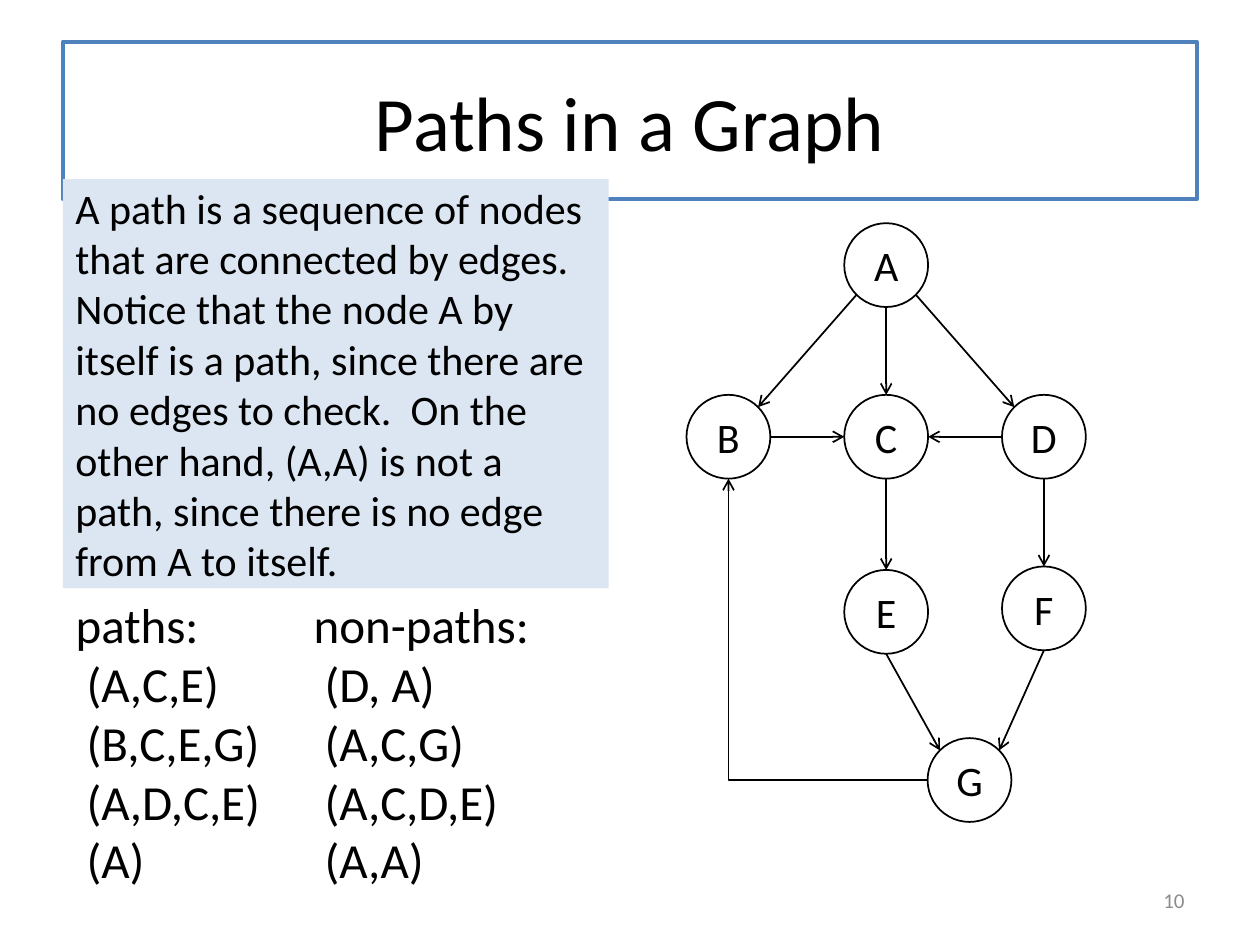
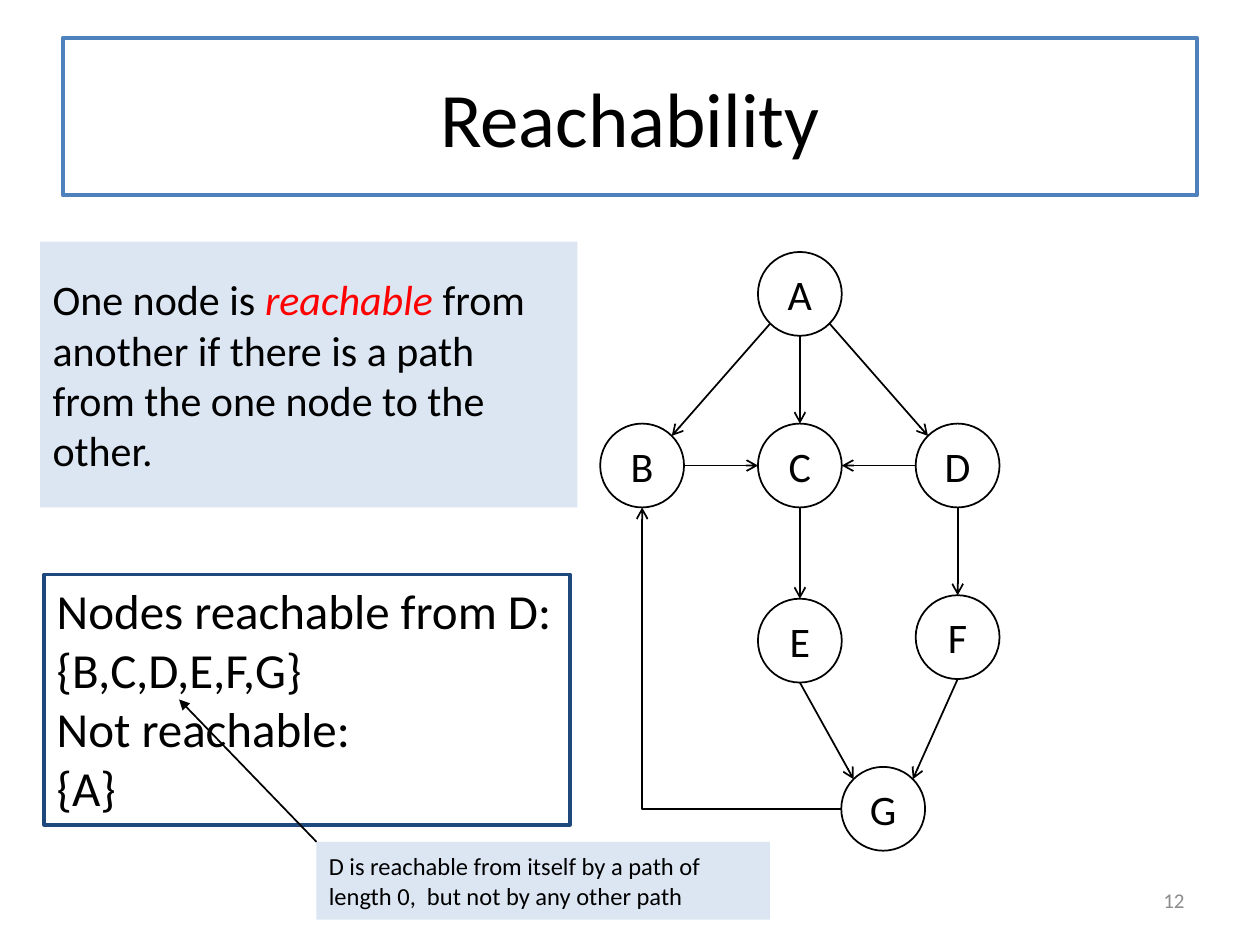
from math import cos, radians, sin

from lxml.etree import SubElement
from pptx import Presentation
from pptx.dml.color import RGBColor
from pptx.enum.shapes import MSO_CONNECTOR as Link, MSO_SHAPE as Preset
from pptx.enum.text import MSO_ANCHOR as Anchor, MSO_AUTO_SIZE as AutoSize, PP_ALIGN as Align
from pptx.oxml.ns import qn
from pptx.util import Cm, Pt

FONT = "Calibri"
BLACK = RGBColor(0x00, 0x00, 0x00)
WHITE = RGBColor(0xFF, 0xFF, 0xFF)
RED = RGBColor(0xFF, 0x00, 0x00)
GREY = RGBColor(0x8C, 0x8C, 0x8C)
TITLE_BLUE = RGBColor(0x4F, 0x81, 0xBD)
NAVY = RGBColor(0x1F, 0x49, 0x7D)
PALE_BLUE = RGBColor(0xDC, 0xE6, 0xF2)

TWO_LISTS, ONE_LIST = 3, 1
LIST_INDENT = 0.22

NODE_SIZE = 1.69
COLUMN_STEP = 3.18
ROW_STEP = 3.46
NODES = {
    "A": (COLUMN_STEP, 0),
    "G": (4.86, 3 * ROW_STEP),
    "F": (2 * COLUMN_STEP, 2 * ROW_STEP),
    "E": (COLUMN_STEP, 2 * ROW_STEP + 0.07),
    "D": (2 * COLUMN_STEP, ROW_STEP),
    "C": (COLUMN_STEP, ROW_STEP),
    "B": (0, ROW_STEP),
}
TOP, TOP_LEFT, LEFT, BOTTOM_LEFT, BOTTOM, BOTTOM_RIGHT, RIGHT, TOP_RIGHT = range(8)
EDGES = [
    ("A", BOTTOM_LEFT, "B", TOP_RIGHT),
    ("A", BOTTOM_RIGHT, "D", TOP_LEFT),
    ("A", BOTTOM, "C", TOP),
    ("B", RIGHT, "C", LEFT),
    ("D", LEFT, "C", RIGHT),
    ("C", BOTTOM, "E", TOP),
    ("D", BOTTOM, "F", TOP),
    ("E", BOTTOM, "G", TOP_LEFT),
    ("F", BOTTOM, "G", TOP_RIGHT),
]


def in_cm(values):
    return [Cm(value) for value in values]


def format_paragraph(paragraph, size, color=BLACK, align=Align.LEFT):
    paragraph.alignment = align
    font = paragraph.font
    font.name, font.size, font.color.rgb = FONT, Pt(size), color


def place(shape, box):
    shape.left, shape.top, shape.width, shape.height = in_cm(box)


def outline(shape, color, width):
    shape.fill.solid()
    shape.fill.fore_color.rgb = WHITE
    shape.line.color.rgb = color
    shape.line.width = Pt(width)


def style_connector(connector, head):
    connector.line.color.rgb = BLACK
    connector.line.width = Pt(1)
    properties = connector._element.spPr
    SubElement(properties.get_or_add_ln(), qn("a:tailEnd"), type=head)
    SubElement(properties, qn("a:effectLst"))


def add_arrow(shapes, start, end, head="arrow"):
    connector = shapes.add_connector(Link.STRAIGHT, *in_cm((*start, *end)))
    style_connector(connector, head)
    return connector


def add_frame(presentation, layout, title, title_top, number):
    slide = presentation.slides.add_slide(presentation.slide_layouts[layout])
    heading = slide.shapes.title
    place(heading, (1.27, title_top, 22.86, 3.18))
    outline(heading, TITLE_BLUE, 2.25)
    heading.text_frame.text = title
    heading.text_frame.auto_size = AutoSize.NONE
    heading.text_frame.vertical_anchor = Anchor.MIDDLE
    format_paragraph(heading.text_frame.paragraphs[0], 44, align=Align.CENTER)

    page = slide.shapes.add_textbox(*in_cm((18.2, 17.65, 5.93, 1.01))).text_frame
    page.word_wrap = True
    page.vertical_anchor = Anchor.MIDDLE
    page.text = number
    format_paragraph(page.paragraphs[0], 12, GREY, Align.RIGHT)
    return slide


def fill_list(placeholder, box, lines, indent=0):
    place(placeholder, box)
    frame = placeholder.text_frame
    frame.text = "\n".join(lines)
    frame.auto_size = AutoSize.NONE
    frame.word_wrap = False
    for index, paragraph in enumerate(frame.paragraphs):
        properties = paragraph._p.get_or_add_pPr()
        properties.set("marL", str(Cm(indent if index else 0)))
        properties.set("indent", "0")
        paragraph.space_before = Pt(0)
        SubElement(properties, qn("a:buNone"))
        format_paragraph(paragraph, 28)


def add_panel(slide, box, parts, size):
    panel = slide.shapes.add_shape(Preset.RECTANGLE, *in_cm(box))
    panel.shadow.inherit = False
    panel.fill.solid()
    panel.fill.fore_color.rgb = PALE_BLUE
    panel.line.fill.background()
    panel.text_frame.vertical_anchor = Anchor.MIDDLE
    paragraph = panel.text_frame.paragraphs[0]
    format_paragraph(paragraph, size)
    for text, emphasized in parts:
        run = paragraph.add_run()
        run.text = text
        if emphasized:
            run.font.italic = True
            run.font.color.rgb = RED


def add_graph(slide, left, top):
    shapes = slide.shapes.add_group_shape().shapes
    circles = {}

    def site(name, index):
        x, y = NODES[name]
        angle, radius = radians(45 * index), NODE_SIZE / 2
        return (left + x + radius * (1 - sin(angle)),
                top + y + radius * (1 - cos(angle)))

    for name, (x, y) in NODES.items():
        circle = shapes.add_shape(
            Preset.OVAL, *in_cm((left + x, top + y, NODE_SIZE, NODE_SIZE)))
        circle.shadow.inherit = False
        outline(circle, BLACK, 1)
        frame = circle.text_frame
        frame.word_wrap = False
        frame.vertical_anchor = Anchor.MIDDLE
        frame.text = name
        format_paragraph(frame.paragraphs[0], 24, align=Align.CENTER)
        circles[name] = circle

    for source, source_site, target, target_site in EDGES:
        arrow = add_arrow(shapes, site(source, source_site), site(target, target_site))
        glue = arrow._element.nvCxnSpPr.cNvCxnSpPr
        for tag, name, index in (("a:stCxn", source, source_site),
                                 ("a:endCxn", target, target_site)):
            SubElement(glue, qn(tag), id=str(circles[name].shape_id), idx=str(index))

    corner_arrow = shapes.add_connector(
        Link.ELBOW, *in_cm((*site("B", BOTTOM), *site("G", LEFT))))
    corner_arrow._element.spPr.find(qn("a:prstGeom")).set("prst", "bentConnector2")
    corner_arrow._element.spPr.find(qn("a:xfrm")).set("rot", "10800000")
    style_connector(corner_arrow, "arrow")


def add_paths_slide(presentation):
    slide = add_frame(presentation, TWO_LISTS, "Paths in a Graph", 0.84, "10")
    paths, non_paths = list(slide.placeholders)[1:3]
    fill_list(paths, (1.27, 11.86, 4.27, 6.25),
              ["paths:", "(A,C,E)", "(B,C,E,G)", "(A,D,C,E)", "(A)"], LIST_INDENT)
    fill_list(non_paths, (6.07, 11.86, 4.9, 6.25),
              ["non-paths:", "(D, A)", "(A,C,G)", "(A,C,D,E)", "(A,A)"], LIST_INDENT)
    add_graph(slide, 13.84, 4.5)
    add_panel(slide, (1.27, 3.61, 11, 8.25), [
        ("A path is a sequence of nodes that are connected by edges.  "
         "Notice that the node A by itself is a path, since there are no edges to check.  "
         "On the other hand, (A,A) is not a path, since there is no edge from A to itself.",
         False)], 24)


def add_reachability_slide(presentation):
    slide = add_frame(presentation, ONE_LIST, "Reachability", 0.76, "12")
    add_graph(slide, 12.1, 5.08)
    answer = slide.placeholders[1]
    fill_list(answer, (0.89, 11.58, 10.6, 5.05),
              ["Nodes reachable from D:", "{B,C,D,E,F,G}", "Not reachable:", "{A}"])
    outline(answer, NAVY, 2)
    add_panel(slide, (0.81, 4.87, 10.83, 5.36), [
        ("One node is ", False),
        ("reachable ", True),
        ("from another if there is a path from the one node to the other.", False)], 24)
    note_left, note_top = 6.38, 16.97
    add_panel(slide, (note_left, note_top, 9.14, 1.57), [
        ("D is reachable from itself by a path of length 0,  but not by any other path",
         False)], 14)
    add_arrow(slide.shapes, (note_left, note_top), (3.61, 14.1), "triangle")


def main():
    presentation = Presentation()
    presentation.slide_width, presentation.slide_height = Cm(25.4), Cm(19.05)
    add_paths_slide(presentation)
    add_reachability_slide(presentation)
    presentation.save("out.pptx")


if __name__ == "__main__":
    main()
